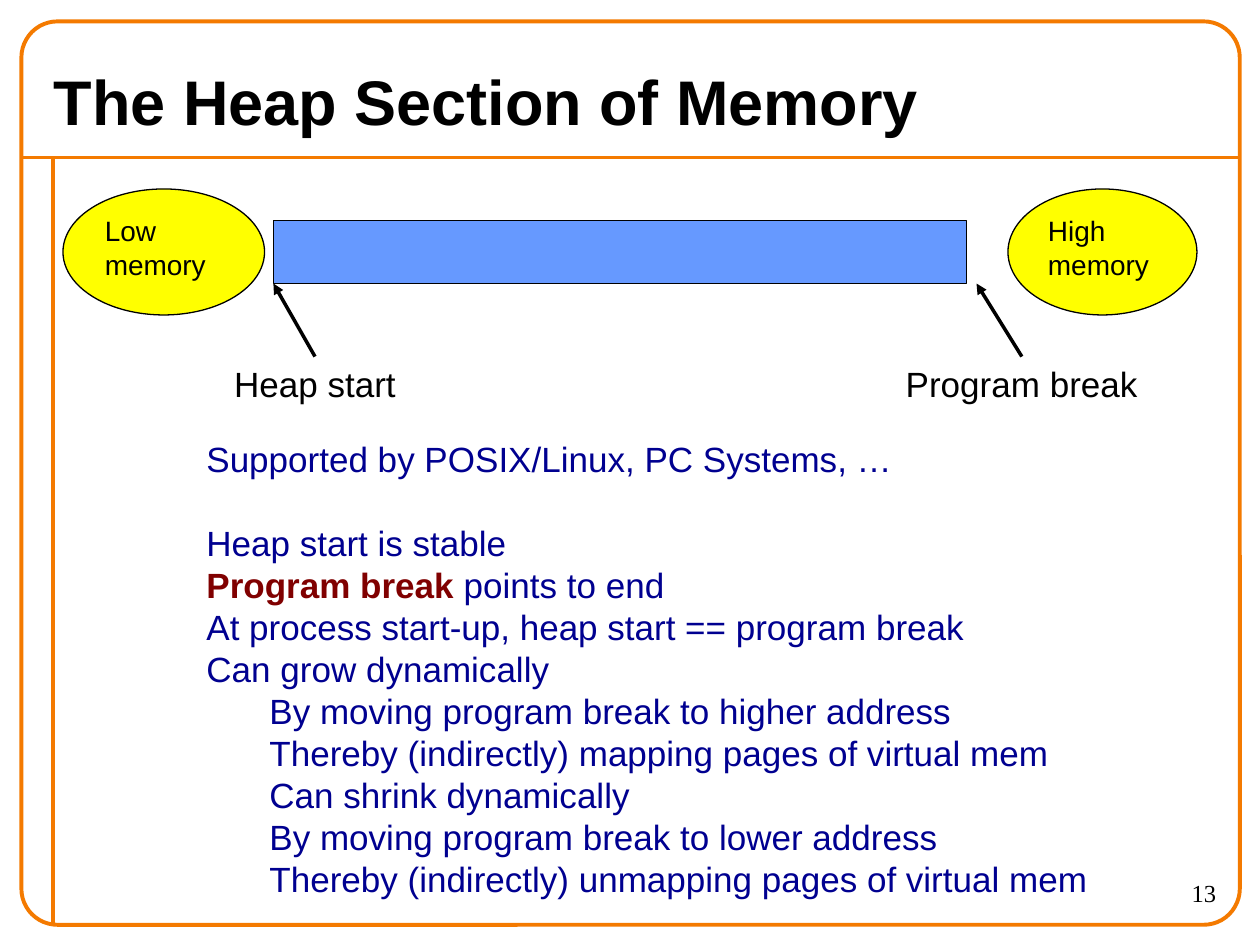
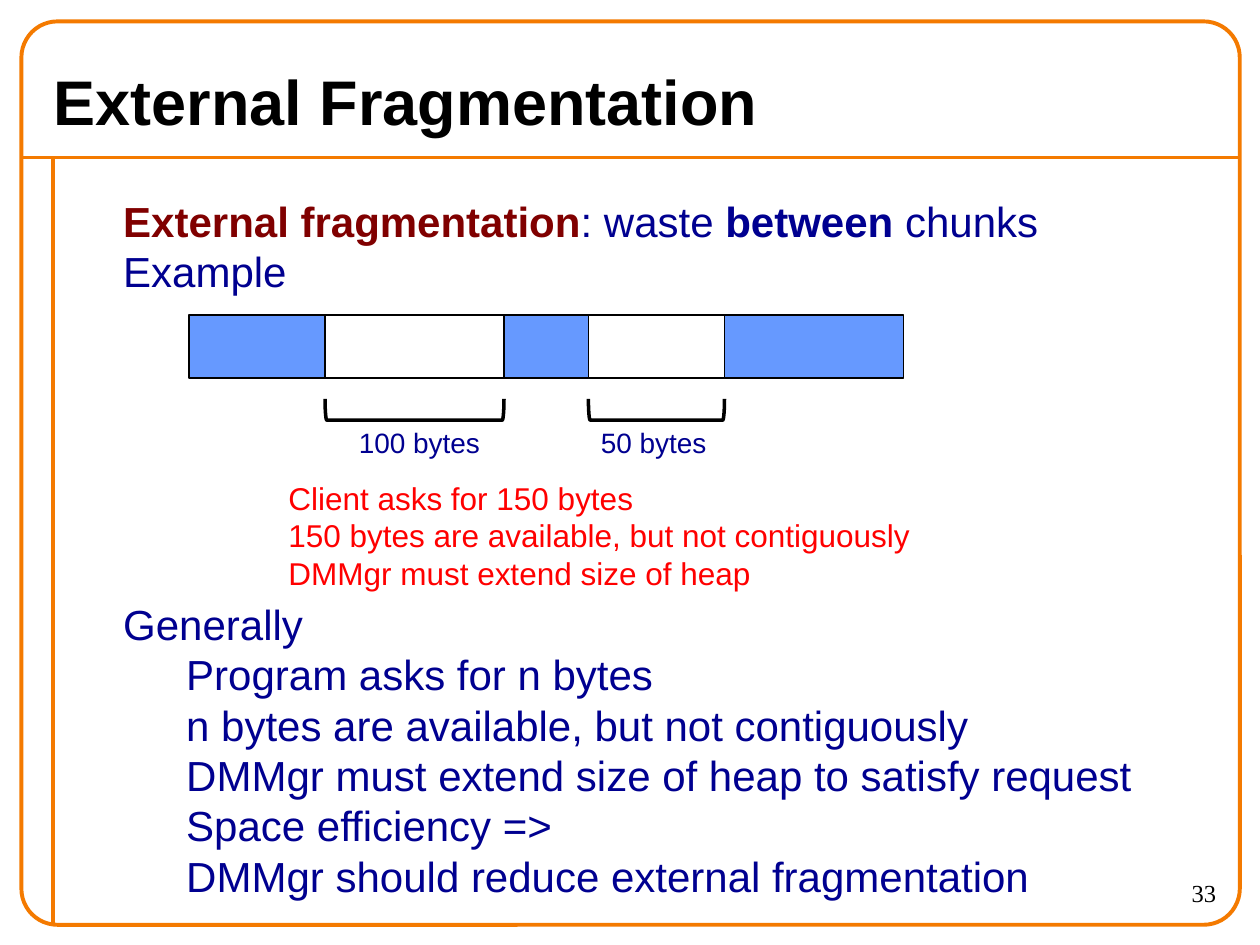
from dataclasses import dataclass

from lxml import etree
from pptx import Presentation
from pptx.dml.color import RGBColor
from pptx.enum.shapes import MSO_CONNECTOR, MSO_SHAPE
from pptx.enum.text import MSO_ANCHOR, PP_ALIGN
from pptx.oxml.ns import qn
from pptx.util import Inches, Pt

# Colours
ORANGE = RGBColor(0xF4, 0x7A, 0x00)
BLACK = RGBColor(0x00, 0x00, 0x00)
NAVY = RGBColor(0x00, 0x00, 0x90)
MAROON = RGBColor(0x80, 0x00, 0x00)
RED = RGBColor(0xFF, 0x00, 0x00)
YELLOW = RGBColor(0xFF, 0xFF, 0x00)
BLUE = RGBColor(0x66, 0x99, 0xFF)

# Enum members
STRAIGHT = MSO_CONNECTOR.STRAIGHT
RECTANGLE = MSO_SHAPE.RECTANGLE
ROUNDED = MSO_SHAPE.ROUNDED_RECTANGLE
OVAL = MSO_SHAPE.OVAL
BRACKET = MSO_SHAPE.LEFT_BRACKET
LEFT, RIGHT = PP_ALIGN.LEFT, PP_ALIGN.RIGHT
TOP, MIDDLE = MSO_ANCHOR.TOP, MSO_ANCHOR.MIDDLE

LINE_HEIGHT = 1.2  # line pitch as a multiple of the text size


@dataclass
class Line:
    """One paragraph: runs of (text, colour, bold), its level and blank lines above."""
    runs: list
    level: int = 0
    gap: int = 0


def plain(text, level=0, gap=0):
    return Line([(text, None, False)], level, gap)


def write(frame, lines, size=20, color=BLACK, bold=False, font="Arial",
          align=LEFT, anchor=TOP):
    """Fill a text frame from strings and Lines."""
    frame.word_wrap = True
    frame.vertical_anchor = anchor
    for index, line in enumerate(lines):
        line = plain(line) if isinstance(line, str) else line
        paragraph = frame.paragraphs[0] if index == 0 else frame.add_paragraph()
        paragraph.alignment = align
        paragraph.line_spacing = Pt(LINE_HEIGHT * size)
        if line.gap:
            paragraph.space_before = Pt(line.gap * LINE_HEIGHT * size)
        if line.level:
            paragraph.level = line.level
            properties = paragraph._p.get_or_add_pPr()
            properties.set("marL", str(Inches(0.5 * line.level)))
            properties.set("indent", "0")
        for text, run_color, run_bold in line.runs:
            run = paragraph.add_run()
            run.text = text
            run.font.name = font
            run.font.size = Pt(size)
            run.font.bold = bold or run_bold
            run.font.color.rgb = run_color or color


def add_text(slide, lines, left, top, width, height, **style):
    box = slide.shapes.add_textbox(*map(Inches, (left, top, width, height)))
    write(box.text_frame, lines, **style)


def add_outline(slide, kind, left, top, width, height,
                fill=None, line=BLACK, weight=0.75):
    shape = slide.shapes.add_shape(kind, *map(Inches, (left, top, width, height)))
    shape.shadow.inherit = False
    if fill is None:
        shape.fill.background()
    else:
        shape.fill.solid()
        shape.fill.fore_color.rgb = fill
    shape.line.color.rgb = line
    shape.line.width = Pt(weight)
    return shape


def add_line(slide, start, end, color=BLACK, weight=2, arrow=False):
    line = slide.shapes.add_connector(STRAIGHT, *map(Inches, (*start, *end)))
    line.line.color.rgb = color
    line.line.width = Pt(weight)
    if arrow:
        etree.SubElement(line.line._get_or_add_ln(), qn("a:tailEnd"), type="triangle")
    etree.SubElement(line._element.spPr, qn("a:effectLst"))


def add_memory_end(slide, word, left, width):
    """Yellow ellipse naming one end of the address space."""
    ellipse = add_outline(slide, OVAL, left, 1.5, width, 1, fill=YELLOW)
    write(ellipse.text_frame, [word, "memory"], size=16)


def add_pointer(slide, label, left, width, start, end):
    """Label under the heap bar with an arrow up to the bar."""
    add_text(slide, [label], left, 2.83, width, 0.44)
    add_line(slide, start, end, arrow=True)


def add_gap_bracket(slide, label, left, width, label_left):
    """Bracket opening upwards below a free chunk, with its size."""
    depth, middle = 0.17, 3.25
    bracket = add_outline(slide, BRACKET, left + (width - depth) / 2,
                          middle - width / 2, depth, width, weight=2)
    bracket.rotation = 270
    add_text(slide, [label], label_left, 3.33, 1.25, 0.37, size=16, color=NAVY)


def new_slide(deck, title, number):
    """Slide with the shared frame, title and page number."""
    slide = deck.slides.add_slide(deck.slide_layouts[6])
    add_line(slide, (0.17, 1.25), (9.83, 1.25), ORANGE, 2.25)
    add_line(slide, (0.42, 1.25), (0.42, 7.33), ORANGE, 2.25)
    frame = add_outline(slide, ROUNDED, 0.17, 0.17, 9.67, 7.17,
                        line=ORANGE, weight=2.25)
    frame.adjustments[0] = 0.04
    add_text(slide, [title], 0.33, 0.42, 9.33, 0.75,
             size=36, bold=True, anchor=MIDDLE)
    add_text(slide, [str(number)], 8.75, 6.92, 1, 0.42,
             size=14, font="Times New Roman", align=RIGHT)
    return slide


def build_heap_section(deck):
    slide = new_slide(deck, "The Heap Section of Memory", 13)

    # Facts about the heap
    add_text(slide, [
        "Supported by POSIX/Linux, PC Systems, …",
        plain("Heap start is stable", gap=1),
        Line([("Program break ", MAROON, True), ("points to end", None, False)]),
        "At process start-up, heap start == program break",
        "Can grow dynamically",
        plain("By moving program break to higher address", 1),
        plain("Thereby (indirectly) mapping pages of virtual mem", 1),
        plain("Can shrink dynamically", 1),
        plain("By moving program break to lower address", 1),
        plain("Thereby (indirectly) unmapping pages of virtual mem", 1),
    ], 1.54, 3.42, 7.3, 3.77, color=NAVY)

    # Heap bar between low and high memory
    add_outline(slide, RECTANGLE, 2.17, 1.75, 5.5, 0.5, fill=BLUE)
    add_pointer(slide, "Heap start", 1.76, 1.55, (2.5, 2.83), (2.17, 2.25))
    add_pointer(slide, "Program break", 7.09, 2.1, (8.11, 2.83), (7.75, 2.25))
    add_memory_end(slide, "Low", 0.5, 1.6)
    add_memory_end(slide, "High", 8, 1.5)


def build_external_fragmentation(deck):
    slide = new_slide(deck, "External Fragmentation", 33)

    # Row of chunks: used and free in turn
    left = 1.5
    for index, width in enumerate((1.08, 1.42, 0.67, 1.08, 1.42)):
        used = index % 2 == 0
        add_outline(slide, RECTANGLE, left, 2.5, width, 0.5,
                    fill=BLUE if used else None)
        left += width

    # Definition and general case, above and below the example
    add_text(slide, [
        Line([("External fragmentation", MAROON, True), (": waste ", None, False),
              ("between ", None, True), ("chunks", None, False)]),
        "Example",
        plain("Generally", gap=6),
        plain("Program asks for n bytes", 1),
        plain("n bytes are available, but not contiguously", 1),
        plain("DMMgr must extend size of heap to satisfy request", 1),
        plain("Space efficiency =>", 1),
        plain("DMMgr should reduce external fragmentation", 1),
    ], 0.88, 1.5, 8.4, 5.7, size=24, color=NAVY)

    # Sizes of the free chunks and the failing request
    add_gap_bracket(slide, "100 bytes", 2.58, 1.42, 2.75)
    add_gap_bracket(slide, "50 bytes", 4.67, 1.08, 4.67)
    add_text(slide, [
        "Client asks for 150 bytes",
        "150 bytes are available, but not contiguously",
        "DMMgr must extend size of heap",
    ], 2.19, 3.75, 5.25, 1, size=18, color=RED)


def main():
    deck = Presentation()
    deck.slide_width = Inches(10)
    deck.slide_height = Inches(7.5)
    build_heap_section(deck)
    build_external_fragmentation(deck)
    deck.save("out.pptx")


if __name__ == "__main__":
    main()
